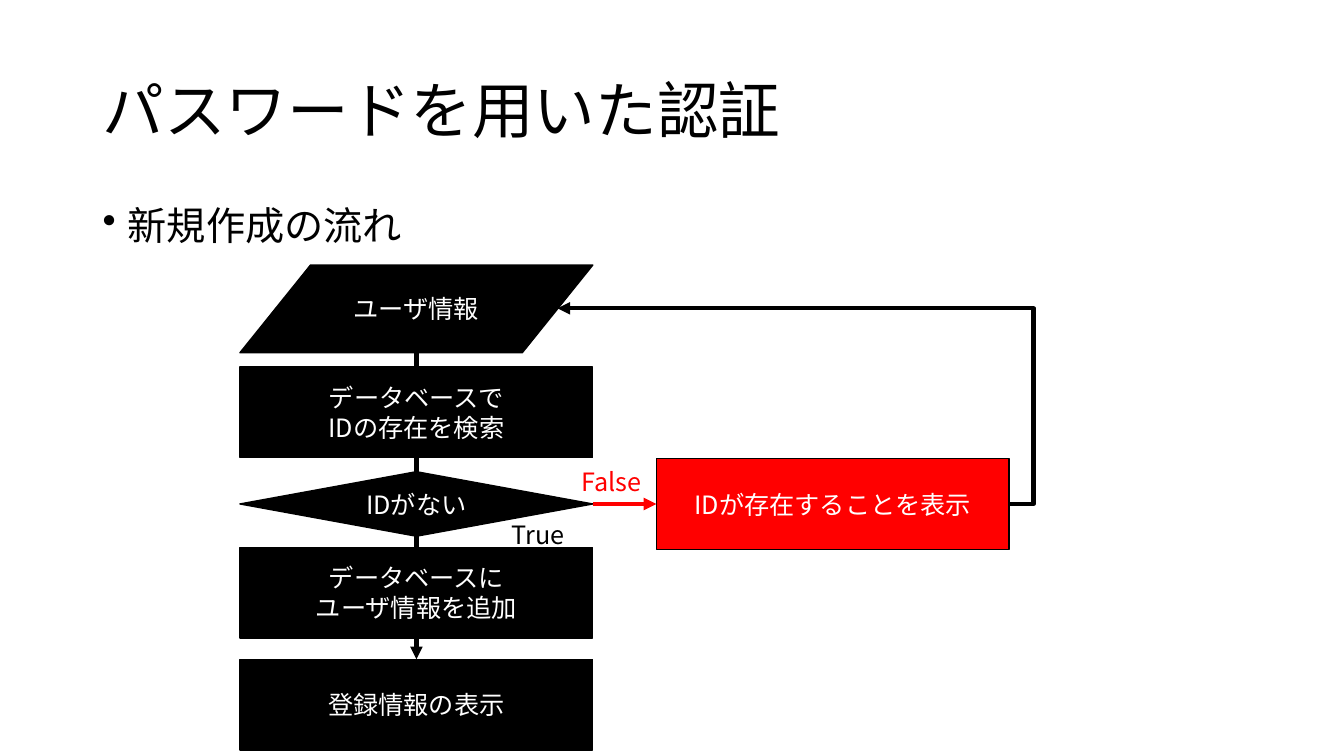
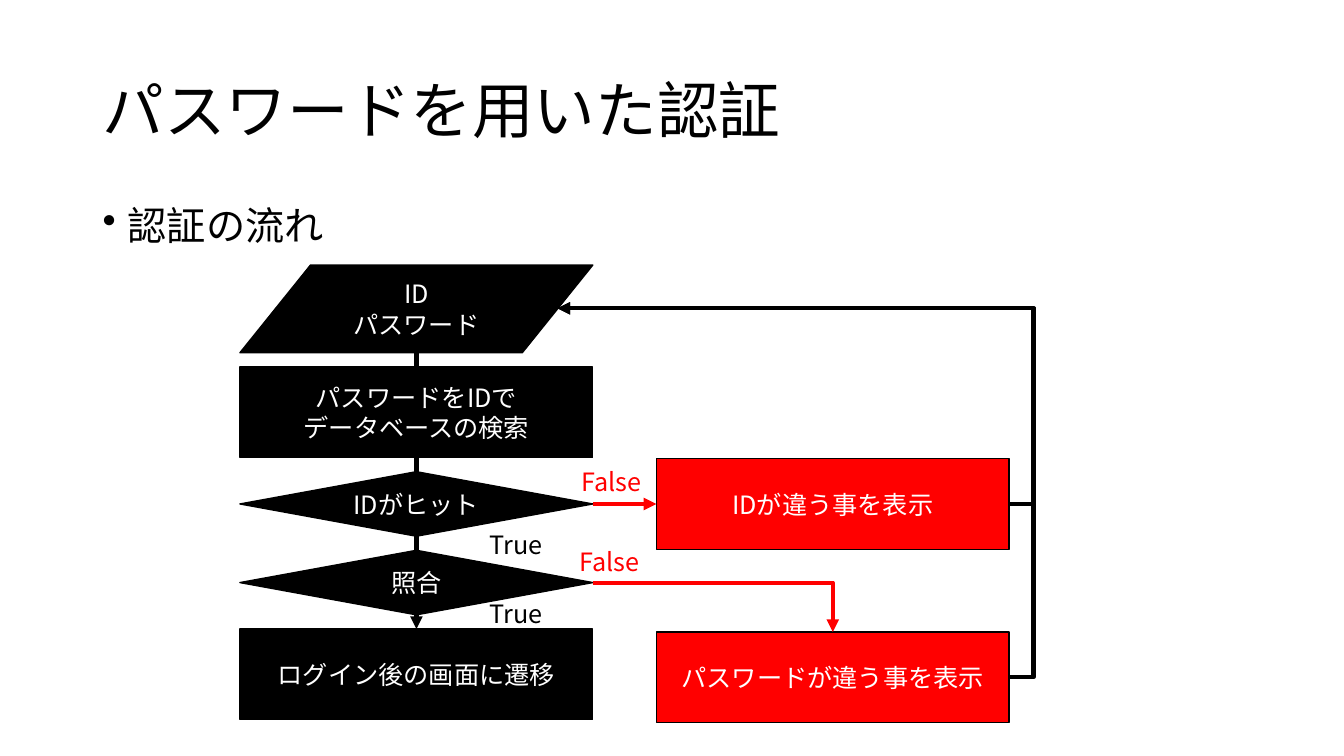
from lxml import etree
from pptx import Presentation
from pptx.dml.color import RGBColor
from pptx.enum.shapes import MSO_CONNECTOR, MSO_SHAPE
from pptx.enum.text import MSO_ANCHOR, MSO_AUTO_SIZE, PP_ALIGN
from pptx.oxml.ns import qn
from pptx.util import Pt

PX = 9144  # 100 px to the inch
FONT = "Noto Sans CJK JP"
COLORS = {"black": "000000", "white": "FFFFFF", "red": "FF0000"}
RECT = MSO_SHAPE.RECTANGLE
INPUT = MSO_SHAPE.FLOWCHART_DATA
DECISION = MSO_SHAPE.FLOWCHART_DECISION
STRAIGHT, ELBOW = MSO_CONNECTOR.STRAIGHT, MSO_CONNECTOR.ELBOW
MIDDLE, TOP_ANCHOR = MSO_ANCHOR.MIDDLE, MSO_ANCHOR.TOP
CENTER = PP_ALIGN.CENTER
FIT_SHAPE = MSO_AUTO_SIZE.SHAPE_TO_FIT_TEXT
TOP, LEFT, RIGHT = 0, 1, 3
INPUT_RIGHT = 5  # right-hand connection site of the input shape

TITLE = "パスワードを用いた認証"
STEP_LEFT, ERROR_LEFT, STEP_WIDTH = 238, 651, 350
BOX_HEIGHT, DECISION_HEIGHT = 90, 64
INPUT_TOP, INPUT_HEIGHT = 263, 87
SEARCH_TOP, CHECK_TOP, ERROR_TOP = 364, 468, 455
TRUNK_X = STEP_LEFT + STEP_WIDTH // 2
LOOP_X = 1025


def rgb(name):
    return RGBColor.from_string(COLORS[name])


def px(*lengths):
    return [length * PX for length in lengths]


def add_span(para, text, size, color):
    span = para.add_run()
    span.text = text
    span.font.size = Pt(size)
    span.font.name = FONT
    span.font.color.rgb = rgb(color)
    east_asian = etree.SubElement(span.font._element, qn("a:ea"))
    east_asian.set("typeface", FONT)


def add_text(page, place, text, size, color="black", anchor=TOP_ANCHOR):
    box = page.shapes.add_textbox(*px(*place))
    box.text_frame.word_wrap = True
    box.text_frame.vertical_anchor = anchor
    para = box.text_frame.paragraphs[0]
    add_span(para, text, size, color)
    return box, para


def add_heading(page, topic):
    _, para = add_text(page, (92, 40, 1150, 145), TITLE, 44, anchor=MIDDLE)
    para.line_spacing = 0.9
    _, para = add_text(page, (92, 200, 1150, 60), topic, 28)
    para.line_spacing = 0.9
    para.space_before = Pt(10)
    # Bullet with a hanging indent
    properties = para._p.get_or_add_pPr()
    properties.set("marL", str(25 * PX))
    properties.set("indent", str(-25 * PX))
    etree.SubElement(properties, qn("a:buChar")).set("char", "•")


def add_label(page, left, top, text, color="black"):
    width = 83 if text == "False" else 74
    box, _ = add_text(page, (left, top, width, 40), text, 18, color)
    box.text_frame.word_wrap = False
    box.text_frame.auto_size = FIT_SHAPE


def add_step(page, kind, left, top, height, lines, fill="black"):
    shape = page.shapes.add_shape(kind, *px(left, top, STEP_WIDTH, height))
    shape.shadow.inherit = False
    shape.fill.solid()
    shape.fill.fore_color.rgb = rgb(fill)
    shape.line.color.rgb = rgb("black")
    shape.line.width = Pt(1)
    frame = shape.text_frame
    frame.vertical_anchor = MIDDLE
    for index, line in enumerate(lines):
        para = frame.add_paragraph() if index else frame.paragraphs[0]
        para.alignment = CENTER
        add_span(para, line, 18, "white")
    return shape


def add_box(page, left, top, lines, fill="black"):
    return add_step(page, RECT, left, top, BOX_HEIGHT, lines, fill)


def add_decision(page, top, text):
    return add_step(page, DECISION, STEP_LEFT, top, DECISION_HEIGHT, [text])


def add_arrow(page, kind, start, end, color="black"):
    arrow = page.shapes.add_connector(kind, *px(*start, *end))
    arrow.line.color.rgb = rgb(color)
    arrow.line.width = Pt(3)
    etree.SubElement(arrow.line._get_or_add_ln(), qn("a:tailEnd")).set("type", "triangle")
    etree.SubElement(arrow._element.spPr, qn("a:effectLst"))
    return arrow


def add_false_arrow(page, decision, error, side):
    """Red arrow: straight into the left side, bent into the top."""
    kind = STRAIGHT if side == LEFT else ELBOW
    arrow = add_arrow(page, kind, (0, 0), (1, 1), "red")
    arrow.begin_connect(decision, RIGHT)
    arrow.end_connect(error, side)
    if kind == ELBOW:
        arrow._element.spPr.find(qn("a:prstGeom")).set("prst", "bentConnector2")


def add_return_arrow(page, error, source):
    """Bent arrow from an error box back to the input shape."""
    start_x = ERROR_LEFT + STEP_WIDTH
    end_x = STEP_LEFT + STEP_WIDTH * 9 // 10
    end_y = INPUT_TOP + INPUT_HEIGHT // 2
    arrow = add_arrow(page, ELBOW, (start_x, end_y + 1), (end_x, end_y))
    arrow.begin_connect(error, RIGHT)
    joint = etree.SubElement(arrow._element.nvCxnSpPr.cNvCxnSpPr, qn("a:endCxn"))
    joint.set("id", str(source.shape_id))
    joint.set("idx", str(INPUT_RIGHT))
    # Bend beyond the start of the arrow
    bend = round(-100000 * (LOOP_X - start_x) / (start_x - end_x))
    geometry = arrow._element.spPr.find(qn("a:prstGeom"))
    guide = etree.SubElement(geometry.find(qn("a:avLst")), qn("a:gd"))
    guide.set("name", "adj1")
    guide.set("fmla", f"val {bend}")


def add_flow(deck, topic, inputs, search, check, error_text, last_top, last_text):
    """Heading and the steps that both flows have."""
    page = deck.slides.add_slide(deck.slide_layouts[6])
    trunk = add_arrow(page, STRAIGHT, (TRUNK_X, INPUT_TOP + INPUT_HEIGHT),
                      (TRUNK_X, last_top))
    add_heading(page, topic)
    source = add_step(page, INPUT, STEP_LEFT, INPUT_TOP, INPUT_HEIGHT, inputs)
    add_box(page, STEP_LEFT, SEARCH_TOP, search)
    decision = add_decision(page, CHECK_TOP, check)
    last = add_box(page, STEP_LEFT, last_top, [last_text])
    trunk.end_connect(last, TOP)
    error = add_box(page, ERROR_LEFT, ERROR_TOP, [error_text], "red")
    add_false_arrow(page, decision, error, LEFT)
    add_return_arrow(page, error, source)
    add_label(page, 567, 458, "False", "red")
    return page, source


def add_registration(deck):
    page, _ = add_flow(
        deck, "新規作成の流れ", ["ユーザ情報"],
        ["データベースで", "IDの存在を検索"], "IDがない",
        "IDが存在することを表示", 654, "登録情報の表示")
    add_label(page, 498, 510, "True")
    add_box(page, STEP_LEFT, 543, ["データベースに", "ユーザ情報を追加"])


def add_login(deck):
    page, source = add_flow(
        deck, "認証の流れ", ["ID", "パスワード"],
        ["パスワードをIDで", "データベースの検索"], "IDがヒット",
        "IDが違う事を表示", 624, "ログイン後の画面に遷移")
    # Second check and its error
    decision = add_decision(page, 546, "照合")
    error = add_box(page, ERROR_LEFT, 627, ["パスワードが違う事を表示"], "red")
    add_false_arrow(page, decision, error, TOP)
    add_return_arrow(page, error, source)
    add_label(page, 565, 537, "False", "red")
    for top in (520, 589):
        add_label(page, 476, top, "True")


def main():
    deck = Presentation()
    deck.slide_width, deck.slide_height = px(1333, 750)
    add_registration(deck)
    add_login(deck)
    deck.save("out.pptx")


if __name__ == "__main__":
    main()
